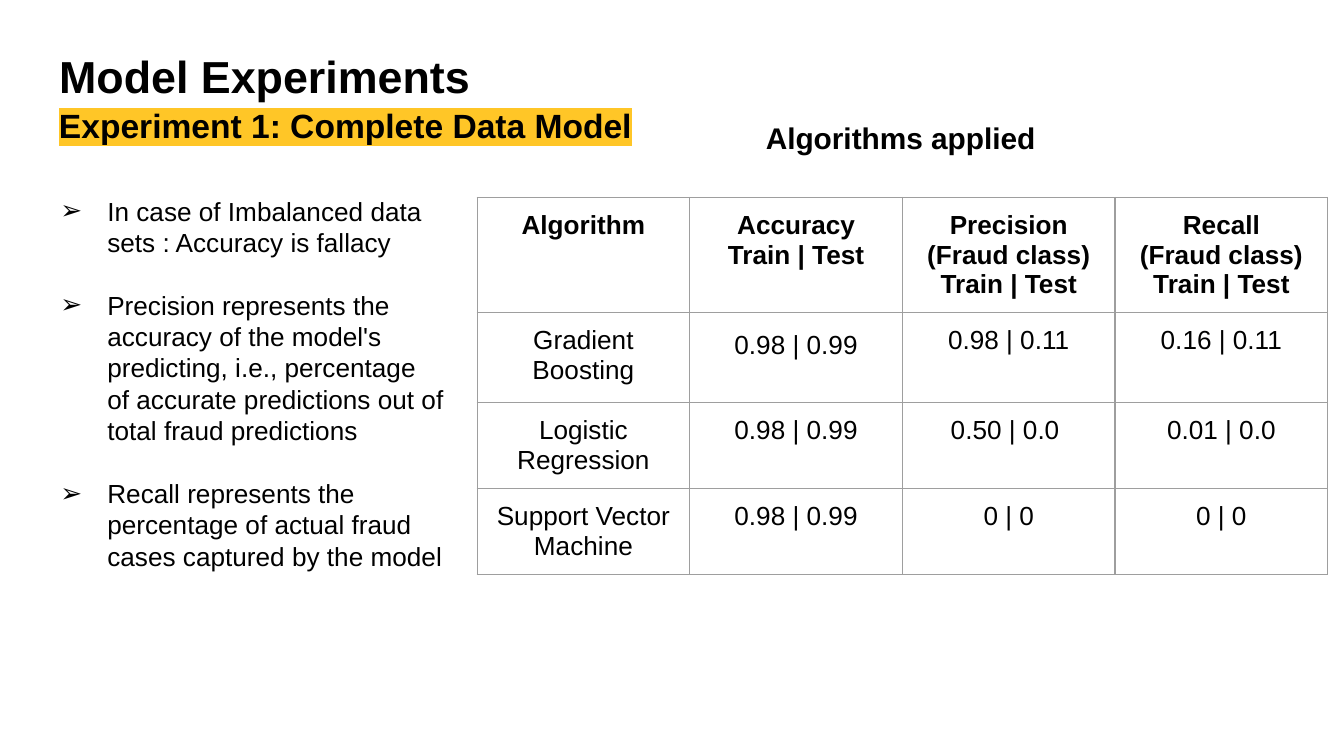
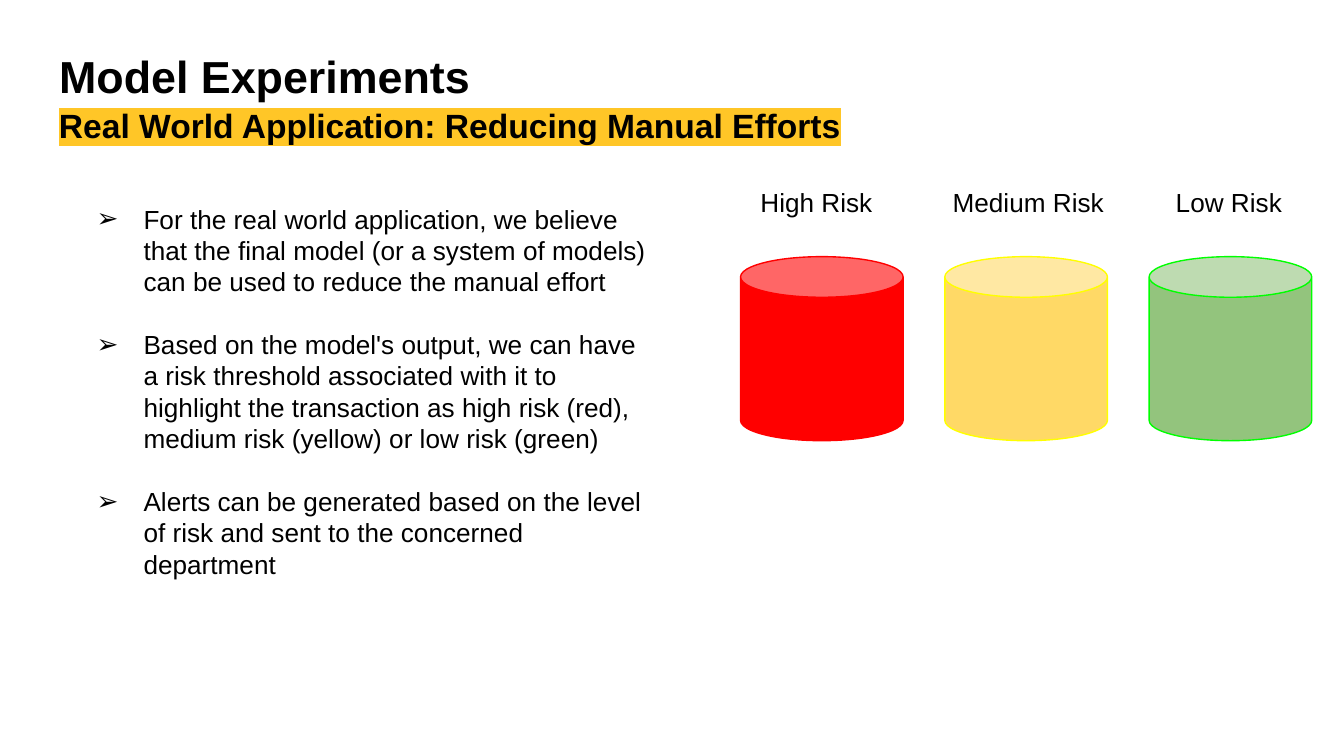
from lxml import etree
from pptx import Presentation, util as u
from pptx.dml.color import RGBColor
from pptx.enum import shapes, text
from pptx.oxml.ns import qn

FONT = "Arial"
BLACK, GOLD, GREY = "000000", "FFC627", "9E9E9E"
LEFT, CENTER = text.PP_ALIGN.LEFT, text.PP_ALIGN.CENTER


def hue(code):
    return RGBColor.from_string(code)


def write(hold, lines, size, bold=False, align=LEFT, anchor=text.MSO_ANCHOR.TOP):
    frame = getattr(hold, "text_frame", hold)
    frame.word_wrap = True
    frame.auto_size = text.MSO_AUTO_SIZE.NONE
    hold.vertical_anchor = anchor
    hold.margin_left = hold.margin_right = u.Inches(0.1)
    hold.margin_top = hold.margin_bottom = u.Inches(0.1)
    for i, line in enumerate(lines):
        para = frame.add_paragraph() if i else frame.paragraphs[0]
        para.alignment = align
        run = para.add_run()
        run.text = line
        run.font.size = u.Pt(size)
        run.font.bold = bold
        run.font.color.rgb = hue(BLACK)
        run.font.name = FONT
    return frame.paragraphs


deck = Presentation()
deck.slide_width = u.Inches(10)
deck.slide_height = deck.slide_width * 9 // 16

pages = [
    ("Experiment 1: Complete Data Model", (0.2, 1.35, 3.21, 2.92), 0.1, [
        "In case of Imbalanced data sets : Accuracy is fallacy",
        "Precision represents the accuracy of the model's predicting, i.e., "
        "percentage of accurate predictions out of total fraud predictions",
        "Recall represents the percentage of actual fraud cases captured by the model",
    ]),
    ("Real World Application: Reducing Manual Efforts", (0.47, 1.18, 4.5, 3.11), 0.33, [
        "For the real world application, we believe that the final model "
        "(or a system of models) can be used to reduce the manual effort",
        "Based on the model's output, we can have a risk threshold associated with it "
        "to highlight the transaction as high risk (red), medium risk (yellow) "
        "or low risk (green)",
        "Alerts can be generated based on the level of risk and sent to the "
        "concerned department",
    ]),
]

for topic, place, inset, points in pages:
    slide = deck.slides.add_slide(deck.slide_layouts[5])
    title = slide.shapes.title
    title.left, title.top = u.Inches(0.34), u.Inches(0.26)
    title.width, title.height = u.Inches(9.32), u.Inches(0.63)
    write(title.text_frame, ["Model Experiments"], 24, True)

    sub = slide.shapes.add_textbox(*map(u.Inches, (0.34, 0.79, 9.32, 0.39)))
    paras = write(sub.text_frame, [topic], 18, True, anchor=text.MSO_ANCHOR.BOTTOM)
    fill = paras[0].runs[0].font._element.find(qn("a:solidFill"))
    mark = etree.Element(qn("a:highlight"))
    etree.SubElement(mark, qn("a:srgbClr"), val=GOLD)
    fill.addnext(mark)

    body = slide.shapes.add_textbox(*map(u.Inches, place))
    paras = write(body.text_frame, points, 14)
    body.text_frame.margin_top = u.Inches(inset)
    for i, para in enumerate(paras):
        props = para._p.get_or_add_pPr()
        props.set("marL", str(u.Inches(0.5)))
        props.set("indent", str(u.Inches(-0.35)))
        tint = etree.SubElement(props, qn("a:buClr"))
        etree.SubElement(tint, qn("a:srgbClr"), val=BLACK)
        etree.SubElement(props, qn("a:buFont"), typeface=FONT)
        etree.SubElement(props, qn("a:buChar"), char="➢")
        if i:
            para.space_before = u.Pt(16.8)

first, second = deck.slides

label = first.shapes.add_textbox(*map(u.Inches, (5.6, 0.79, 2.39, 0.63)))
write(label.text_frame, ["Algorithms applied"], 16, True)

rows = [
    ["Algorithm", "Accuracy\nTrain | Test", "Precision\n(Fraud class)\nTrain | Test",
     "Recall\n(Fraud class)\nTrain | Test"],
    ["Gradient Boosting", "0.98 | 0.99", "0.98 | 0.11", "0.16 | 0.11"],
    ["Logistic Regression", "0.98 | 0.99", "0.50 | 0.0 ", "0.01 | 0.0"],
    ["Support Vector Machine", "0.98 | 0.99", "0 | 0", "0 | 0"],
]
tall = [0.85, 0.67, 0.64, 0.64]
wide = 6.33
frame = first.shapes.add_table(4, 4, *map(u.Inches, (3.55, 1.47, wide, sum(tall))))
grid = frame.table
grid.first_row = grid.horz_banding = False
for col in grid.columns:
    col.width = u.Inches(wide / 4)
for r, row in enumerate(rows):
    grid.rows[r].height = u.Inches(tall[r])
    for c, words in enumerate(row):
        cell = grid.cell(r, c)
        write(cell, words.split("\n"), 14, r == 0, CENTER)
        cell.fill.background()
        props = cell._tc.get_or_add_tcPr()
        for n, side in enumerate(("lnL", "lnR", "lnT", "lnB")):
            edge = etree.Element(qn("a:" + side), w=str(u.Pt(0.75)))
            ink = etree.SubElement(edge, qn("a:solidFill"))
            etree.SubElement(ink, qn("a:srgbClr"), val=GREY)
            props.insert(n, edge)
grid.cell(1, 1).text_frame.paragraphs[0].line_spacing = 1.15

cans = [("FF0000", "FF0000"), ("FFD966", "FFFF00"), ("93C47D", "00FF00")]
for i, (fill, line) in enumerate(cans):
    can = second.shapes.add_shape(
        shapes.MSO_SHAPE.CAN, *map(u.Inches, (5.51 + 1.52 * i, 1.91, 1.21, 1.37)))
    can.adjustments[0] = 0.25
    can.shadow.inherit = False
    can.fill.solid()
    can.fill.fore_color.rgb = hue(fill)
    can.line.color.rgb = hue(line)
    can.line.width = u.Pt(0.75)

risks = second.shapes.add_textbox(*map(u.Inches, (5.56, 1.29, 4.2, 0.49)))
paras = write(risks.text_frame, ["High Risk\tMedium Risk\tLow Risk"], 14)
tabs = etree.SubElement(paras[0]._p.get_or_add_pPr(), qn("a:tabLst"))
for stop in (1.43, 3.09):
    etree.SubElement(tabs, qn("a:tab"), pos=str(u.Inches(stop)), algn="l")

deck.save("out.pptx")
